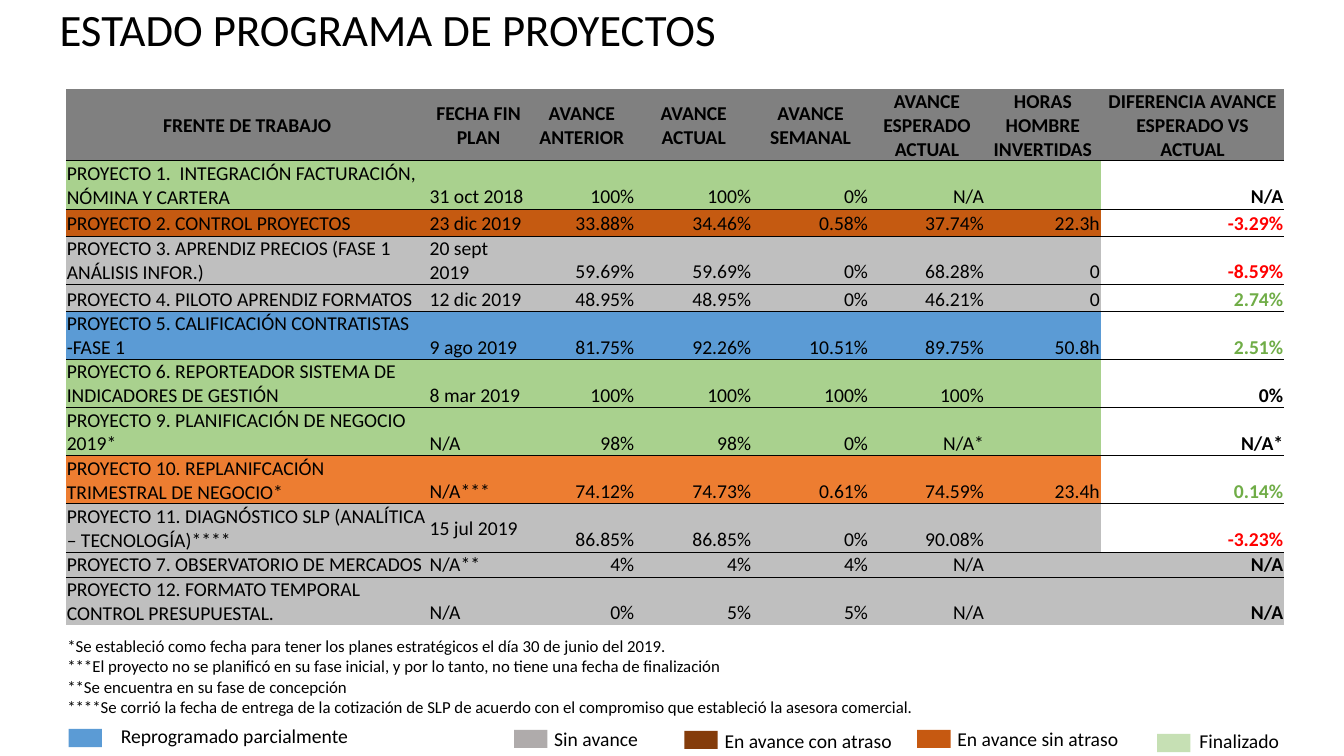
"""Build the project programme status slide with its table, notes and legend."""
from lxml.etree import SubElement as Sub
from pptx import Presentation
from pptx.dml.color import RGBColor as RGB
from pptx.enum.shapes import MSO_SHAPE as Shape
from pptx.enum.text import MSO_ANCHOR as Anchor, MSO_AUTO_SIZE as Fit, PP_ALIGN as Align
from pptx.oxml.ns import qn
from pptx.util import Pt

BLACK = RGB(0, 0, 0)
WHITE = RGB(255, 255, 255)
HEAD = RGB(0x80, 0x80, 0x80)
GREEN = RGB(0xA9, 0xD1, 0x8E)
RUST = RGB(0xC5, 0x5A, 0x11)
GRAY = RGB(0xBF, 0xBF, 0xBF)
BLUE = RGB(0x5B, 0x9B, 0xD5)
ORANGE = RGB(0xED, 0x7D, 0x31)
LOSS = RGB(0xFF, 0, 0)
GAIN = RGB(0x70, 0xAD, 0x47)
STONE = RGB(0xAF, 0xAB, 0xAB)
BROWN = RGB(0x84, 0x3C, 0x0B)
AMBER = RGB(0xC6, 0x59, 0x11)
PALE = RGB(0xC6, 0xE0, 0xB4)

TITLE = "ESTADO PROGRAMA DE PROYECTOS"
HEADS = ("FRENTE DE TRABAJO", "FECHA FIN PLAN", "AVANCE ANTERIOR", "AVANCE ACTUAL",
         "AVANCE SEMANAL", "AVANCE ESPERADO ACTUAL", "HORAS HOMBRE INVERTIDAS",
         "DIFERENCIA AVANCE ESPERADO VS ACTUAL")
WIDTHS = (259.2, 71.3, 76.3, 83.5, 83.5, 82.8, 82.8, 131)
TALL, MID, LOW = 34.4, 19.4, 17.9
ROWS = [
    (TALL, GREEN, WHITE, ("PROYECTO 1.  INTEGRACIÓN FACTURACIÓN, NÓMINA Y CARTERA",
     "31 oct 2018", "100%", "100%", "0%", "N/A", "", "N/A")),
    (MID, RUST, WHITE, ("PROYECTO 2. CONTROL PROYECTOS",
     "23 dic 2019", "33.88%", "34.46%", "0.58%", "37.74%", "22.3h", "-3.29%")),
    (TALL, GRAY, WHITE, ("PROYECTO 3. APRENDIZ PRECIOS (FASE 1 ANÁLISIS INFOR.)",
     "20 sept 2019", "59.69%", "59.69%", "0%", "68.28%", "0", "-8.59%")),
    (MID, GRAY, WHITE, ("PROYECTO 4. PILOTO APRENDIZ FORMATOS",
     "12 dic 2019", "48.95%", "48.95%", "0%", "46.21%", "0", "2.74%")),
    (TALL, BLUE, WHITE, ("PROYECTO 5. CALIFICACIÓN CONTRATISTAS -FASE 1",
     "9 ago 2019", "81.75%", "92.26%", "10.51%", "89.75%", "50.8h", "2.51%")),
    (TALL, GREEN, WHITE, ("PROYECTO 6. REPORTEADOR SISTEMA DE INDICADORES DE GESTIÓN",
     "8 mar 2019", "100%", "100%", "100%", "100%", "", "0%")),
    (TALL, GREEN, WHITE, ("PROYECTO 9. PLANIFICACIÓN DE NEGOCIO 2019*",
     "N/A", "98%", "98%", "0%", "N/A*", "", "N/A*")),
    (TALL, ORANGE, WHITE, ("PROYECTO 10. REPLANIFCACIÓN TRIMESTRAL DE NEGOCIO*",
     "N/A***", "74.12%", "74.73%", "0.61%", "74.59%", "23.4h", "0.14%")),
    (TALL, GRAY, WHITE, ("PROYECTO 11. DIAGNÓSTICO SLP (ANALÍTICA – TECNOLOGÍA)****",
     "15 jul 2019", "86.85%", "86.85%", "0%", "90.08%", "", "-3.23%")),
    (LOW, GRAY, GRAY, ("PROYECTO 7. OBSERVATORIO DE MERCADOS",
     "N/A**", "4%", "4%", "4%", "N/A", "", "N/A")),
    (TALL, GRAY, GRAY, ("PROYECTO 12. FORMATO TEMPORAL CONTROL PRESUPUESTAL.",
     "N/A", "0%", "5%", "5%", "N/A", "", "N/A")),
]
NOTES = (
    "*Se estableció como fecha para tener los planes estratégicos el día 30 de junio del 2019.",
    "***El proyecto no se planificó en su fase inicial, y por lo tanto, "
    "no tiene una fecha de finalización",
    "**Se encuentra en su fase de concepción",
    "****Se corrió la fecha de entrega de la cotización de SLP de acuerdo con el compromiso "
    "que estableció la asesora comercial.",
)
LEGEND = [
    ("Reprogramado parcialmente", BLUE, (49, 520.6), (79.2, 513.4), 213.8),
    ("Sin avance", STONE, (367.2, 521.3), (388.8, 515.5), 93.6),
    ("En avance con atraso", BROWN, (488.9, 522), (510.5, 517), 139),
    ("En avance sin atraso", AMBER, (655.2, 521.3), (676.8, 515.5), 139),
    ("Finalizado", PALE, (826.6, 524.2), (849.6, 517), 73.5),
]


def write(frame, *lines, size=14, color=BLACK, bold=False, align=Align.LEFT):
    for i, line in enumerate(lines):
        para = frame.add_paragraph() if i else frame.paragraphs[0]
        para.alignment = align
        if not line:
            para._p.get_or_add_endParaRPr().set("sz", str(size * 100))
            continue
        run = para.add_run()
        run.text = line
        font = run.font
        font.name, font.size, font.bold = "Calibri", Pt(size), bold
        font.color.rgb = color


def label(slide, left, top, width, height, *lines, **form):
    frame = slide.shapes.add_textbox(Pt(left), Pt(top), Pt(width), Pt(height)).text_frame
    frame.word_wrap = True
    frame.auto_size = Fit.SHAPE_TO_FIT_TEXT
    write(frame, *lines, **form)


def rule(cell):
    line = Sub(cell._tc.get_or_add_tcPr(), qn("a:lnB"), w=str(Pt(0.5)))
    Sub(Sub(line, qn("a:solidFill")), qn("a:srgbClr"), val=str(BLACK))


def put(cell, text, fill, anchor, line, **form):
    cell.margin_left = cell.margin_right = cell.margin_top = Pt(0.72)
    cell.margin_bottom = 0
    cell.vertical_anchor = anchor
    if line:
        rule(cell)
    cell.fill.solid()
    cell.fill.fore_color.rgb = fill
    write(cell.text_frame, text, **form)


def tint(text):
    if text.startswith("-"):
        return LOSS
    return GAIN if text.endswith("%") and text != "0%" else BLACK


def grid(slide):
    highs = [51] + [row[0] for row in ROWS]
    table = slide.shapes.add_table(len(highs), len(HEADS), Pt(47), Pt(63.6),
                                   Pt(sum(WIDTHS)), Pt(sum(highs))).table
    table.first_row = table.horz_banding = False
    table._tbl.tblPr.find(qn("a:tableStyleId")).text = "{2D5ABB26-0587-4C30-8999-92F81FD0307C}"
    for col, width in zip(table.columns, WIDTHS):
        col.width = Pt(width)
    for row, high in zip(table.rows, highs):
        row.height = Pt(high)
    for c, head in enumerate(HEADS):
        put(table.cell(0, c), head, HEAD, Anchor.MIDDLE, True, bold=True, align=Align.CENTER)
    end = len(HEADS) - 1
    for r, (_, fill, side, texts) in enumerate(ROWS, 1):
        for c, text in enumerate(texts):
            last = c == end
            put(table.cell(r, c), text, side if last else fill,
                Anchor.MIDDLE if text == "15 jul 2019" else Anchor.BOTTOM, r < len(ROWS),
                bold=last, color=tint(text) if last else BLACK,
                align=Align.RIGHT if c > 1 else Align.LEFT)


def main():
    deck = Presentation()
    deck.slide_width, deck.slide_height = Pt(960), Pt(540)
    slide = deck.slides.add_slide(deck.slide_layouts[6])
    label(slide, 35.5, -2.2, 689, 46, TITLE, size=32)
    grid(slide)
    label(slide, 41, 450.7, 876, 65.5, *NOTES, size=12)
    for name, color, spot, place, width in LEGEND:
        box = slide.shapes.add_shape(Shape.RECTANGLE, *map(Pt, spot), Pt(23.8), Pt(13))
        box.shadow.inherit = False
        box.fill.solid()
        box.fill.fore_color.rgb = color
        box.line.fill.background()
        label(slide, *place, width, 24.5, name)
    deck.save("out.pptx")


if __name__ == "__main__":
    main()
